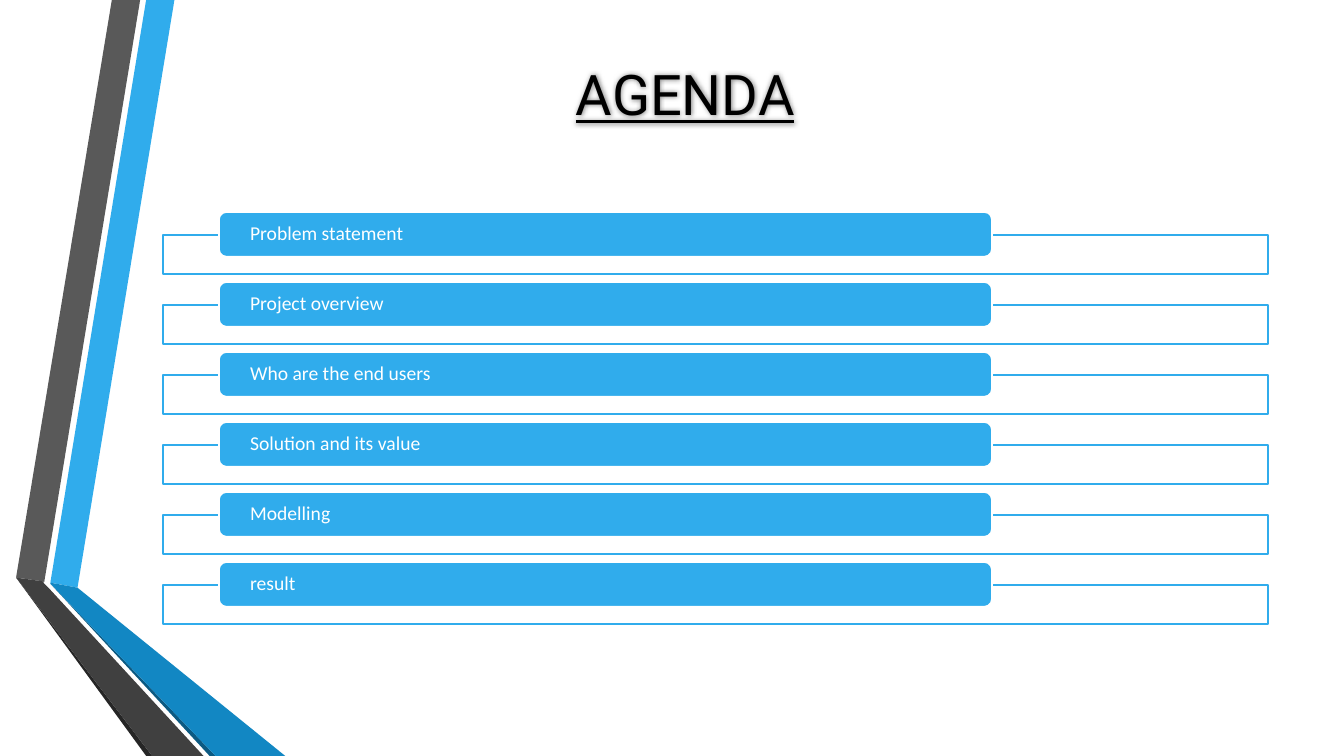
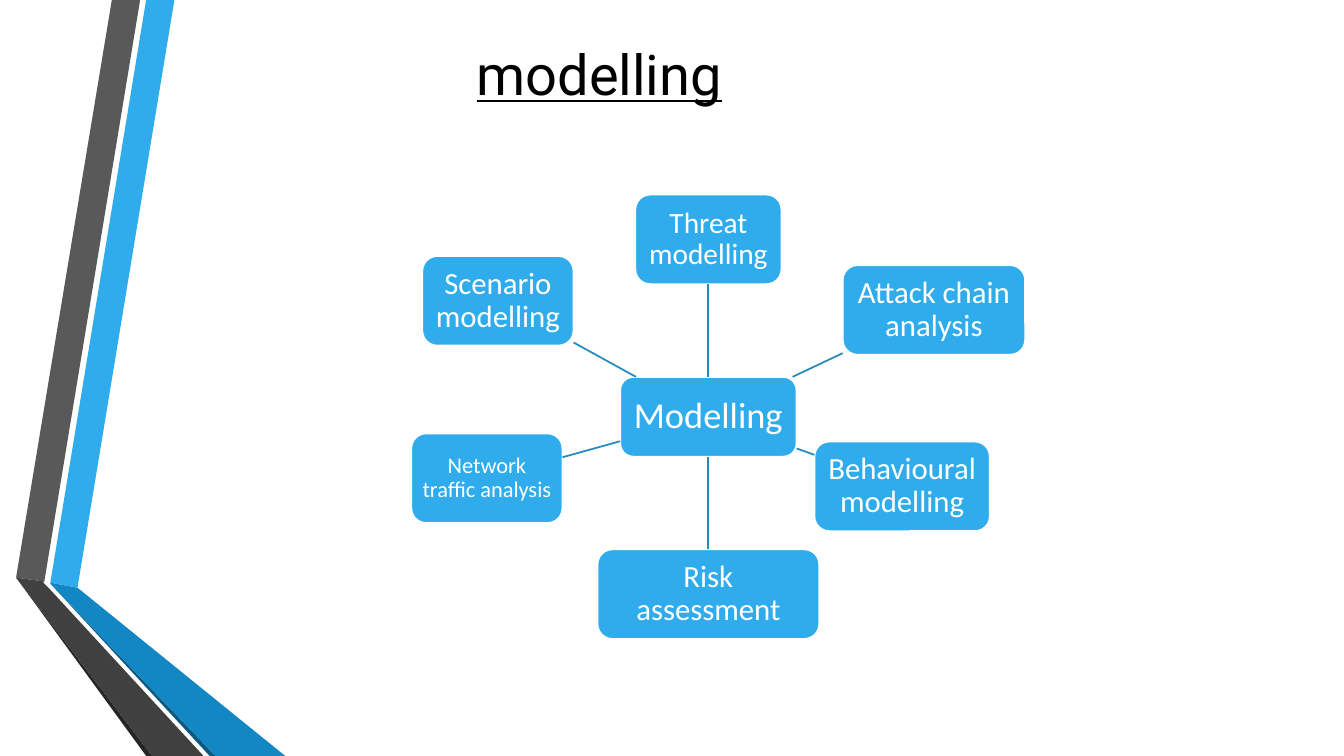
from dataclasses import dataclass

from lxml.etree import SubElement
from pptx import Presentation
from pptx.dml.color import RGBColor
from pptx.enum.shapes import MSO_CONNECTOR, MSO_SHAPE
from pptx.enum.text import MSO_ANCHOR, PP_ALIGN
from pptx.oxml.ns import qn
from pptx.shapes.autoshape import Shape
from pptx.slide import Slide
from pptx.util import Pt


@dataclass(frozen=True)
class Theme:
    white: RGBColor = RGBColor(0xFF, 0xFF, 0xFF)
    black: RGBColor = RGBColor(0x00, 0x00, 0x00)
    blue: RGBColor = RGBColor(0x30, 0xAC, 0xEC)
    deep_blue: RGBColor = RGBColor(0x12, 0x87, 0xC3)
    navy: RGBColor = RGBColor(0x0C, 0x5A, 0x82)
    spoke: RGBColor = RGBColor(0x26, 0x8A, 0xBD)
    grey: RGBColor = RGBColor(0x59, 0x59, 0x59)
    charcoal: RGBColor = RGBColor(0x40, 0x40, 0x40)
    near_black: RGBColor = RGBColor(0x26, 0x26, 0x26)
    title_font: str = "Roboto"
    body_font: str = "Calibri"
    title_size: float = 40
    agenda_size: float = 14
    hub_size: float = 26
    topic_size: float = 22
    threat_size: float = 21
    network_size: float = 16
    line_width: float = 1.25


THEME = Theme()


@dataclass(frozen=True)
class Box:
    left: float
    top: float
    width: float
    height: float


@dataclass(frozen=True)
class Band:
    color: RGBColor
    points: tuple[tuple[float, float], ...]


@dataclass(frozen=True)
class Node:
    label: str
    center_x: float
    center_y: float
    width: float
    height: float = 64
    size: float = THEME.topic_size

    @property
    def box(self) -> Box:
        return Box(self.center_x - self.width / 2, self.center_y - self.height / 2,
                   self.width, self.height)

    def edge_toward(self, other: "Node") -> tuple[float, float]:
        dx, dy = other.center_x - self.center_x, other.center_y - self.center_y
        reach = min(half / abs(step) for half, step in
                    ((self.width / 2, dx), (self.height / 2, dy)) if step)
        return self.center_x + dx * reach, self.center_y + dy * reach


BANDS = (
    Band(THEME.blue, ((36, 416.2), (55.4, 419.8), (124.6, 0), (104.4, 0))),
    Band(THEME.grey, ((100.1, 0), (79.9, 0), (11.5, 412.6), (31.7, 415.4))),
    Band(THEME.near_black, ((11.5, 412.6), (104.4, 540), (108.7, 540))),
    Band(THEME.navy, ((36, 416.9), (149.8, 540), (154.1, 540))),
    Band(THEME.deep_blue, ((36, 416.9), (154.1, 540), (203.8, 540), (55.4, 419.8), (36, 416.2))),
    Band(THEME.charcoal, ((145.4, 540), (34.6, 419.8), (31, 416.2), (31.7, 415.4),
                          (11.5, 412.6), (108.7, 540))),
)

AGENDA = ("Problem statement", "Project overview", "Who are the end users",
          "Solution and its value", "Modelling", "result")
AGENDA_PITCH = 50

HUB = Node("Modelling", 506, 297.7, 126, 57, THEME.hub_size)
TOPICS = (
    Node("Threat modelling", 506, 171, 104.4, size=THEME.threat_size),
    Node("Attack chain analysis", 667.1, 221.4, 130.3),
    Node("Behavioural modelling", 644.4, 347.4, 125.3),
    Node("Risk assessment", 506, 424.4, 158.4),
    Node("Network traffic analysis", 347.8, 341.6, 108, size=THEME.network_size),
    Node("Scenario modelling", 355.7, 214.9, 108),
)


def set_all(target: object, values: dict) -> None:
    for name, value in values.items():
        setattr(target, name, value)


def write(shape: Shape, text: str, color: RGBColor, font: dict,
          paragraph_format: dict, margins: tuple[float, float]) -> None:
    side, end = (Pt(margin) for margin in margins)
    frame = shape.text_frame
    set_all(frame, {"word_wrap": True, "vertical_anchor": MSO_ANCHOR.MIDDLE,
                    "margin_left": side, "margin_right": side,
                    "margin_top": end, "margin_bottom": end})
    paragraph = frame.paragraphs[0]
    set_all(paragraph, paragraph_format)
    run = paragraph.add_run()
    run.text = text
    set_all(run.font, font)
    run.font.color.rgb = color


def add_box(slide: Slide, preset: MSO_SHAPE, box: Box, fill: RGBColor, line: RGBColor) -> Shape:
    shape = slide.shapes.add_shape(preset, Pt(box.left), Pt(box.top), Pt(box.width), Pt(box.height))
    shape.shadow.inherit = False
    shape.fill.solid()
    shape.fill.fore_color.rgb = fill
    shape.line.color.rgb = line
    shape.line.width = Pt(THEME.line_width)
    return shape


def add_bands(slide: Slide) -> None:
    for band in BANDS:
        start, *rest = [(Pt(x), Pt(y)) for x, y in band.points]
        builder = slide.shapes.build_freeform(*start)
        builder.add_line_segments(rest, close=True)
        stripe = builder.convert_to_shape()
        stripe.shadow.inherit = False
        stripe.fill.solid()
        stripe.fill.fore_color.rgb = band.color
        stripe.line.fill.background()


def add_title(slide: Slide, text: str, box: Box) -> Shape:
    title = slide.shapes.add_textbox(Pt(box.left), Pt(box.top), Pt(box.width), Pt(box.height))
    write(title, text, THEME.black,
          {"name": THEME.title_font, "size": Pt(THEME.title_size), "underline": True},
          {"alignment": PP_ALIGN.CENTER}, (7.2, 3.6))
    return title


def add_soft_shadow(shape: Shape) -> None:
    effects = SubElement(shape._element.spPr, qn("a:effectLst"))
    shadow = SubElement(effects, qn("a:outerShdw"), blurRad=str(Pt(4)), dist=str(Pt(1)),
                        dir="13500000", algn="br", rotWithShape="0")
    color = SubElement(shadow, qn("a:srgbClr"), val=str(THEME.black))
    SubElement(color, qn("a:alpha"), val="50000")


def add_agenda_row(slide: Slide, index: int, label: str) -> None:
    offset = index * AGENDA_PITCH
    outline = add_box(slide, MSO_SHAPE.RECTANGLE, Box(116.6, 167.8 + offset, 789, 28),
                      THEME.white, THEME.blue)
    white = outline._element.spPr.find(qn("a:solidFill"))[0]
    SubElement(white, qn("a:alpha"), val="90000")
    bar = add_box(slide, MSO_SHAPE.ROUNDED_RECTANGLE, Box(156.4, 151.4 + offset, 552.2, 32),
                  THEME.blue, THEME.white)
    write(bar, label, THEME.white,
          {"name": THEME.body_font, "size": Pt(THEME.agenda_size)},
          {"alignment": PP_ALIGN.LEFT, "line_spacing": 0.9}, (20.7, 0))


def add_node(slide: Slide, node: Node) -> Shape:
    shape = add_box(slide, MSO_SHAPE.ROUNDED_RECTANGLE, node.box, THEME.blue, THEME.white)
    margin = node.size * 0.2
    write(shape, node.label, THEME.white,
          {"name": THEME.body_font, "size": Pt(node.size)},
          {"alignment": PP_ALIGN.CENTER, "line_spacing": 0.9}, (margin, margin))
    return shape


def add_spoke(slide: Slide, hub_shape: Shape, topic: Node, topic_shape: Shape) -> None:
    ends = (*HUB.edge_toward(topic), *topic.edge_toward(HUB))
    spoke = slide.shapes.add_connector(MSO_CONNECTOR.STRAIGHT, *(Pt(value) for value in ends))
    spoke.line.color.rgb = THEME.spoke
    spoke.line.width = Pt(THEME.line_width)
    SubElement(spoke._element.spPr, qn("a:effectLst"))
    if topic.center_x == HUB.center_x:
        hub_site, topic_site = (0, 2) if topic.center_y < HUB.center_y else (2, 0)
        spoke.begin_connect(hub_shape, hub_site)
        spoke.end_connect(topic_shape, topic_site)


def build_agenda(slide: Slide) -> None:
    add_bands(slide)
    add_soft_shadow(add_title(slide, "AGENDA", Box(95, 29.5, 789, 74)))
    for index, label in enumerate(AGENDA):
        add_agenda_row(slide, index, label)


def build_modelling(slide: Slide) -> None:
    add_bands(slide)
    add_title(slide, "modelling", Box(107.3, 20.9, 641.5, 62.6))
    hub_shape = add_node(slide, HUB)
    for topic in TOPICS:
        add_spoke(slide, hub_shape, topic, add_node(slide, topic))


def main() -> None:
    deck = Presentation()
    set_all(deck, {"slide_width": Pt(960), "slide_height": Pt(540)})
    blank = deck.slide_layouts[6]
    for build in (build_agenda, build_modelling):
        build(deck.slides.add_slide(blank))
    deck.save("out.pptx")


if __name__ == "__main__":
    main()
